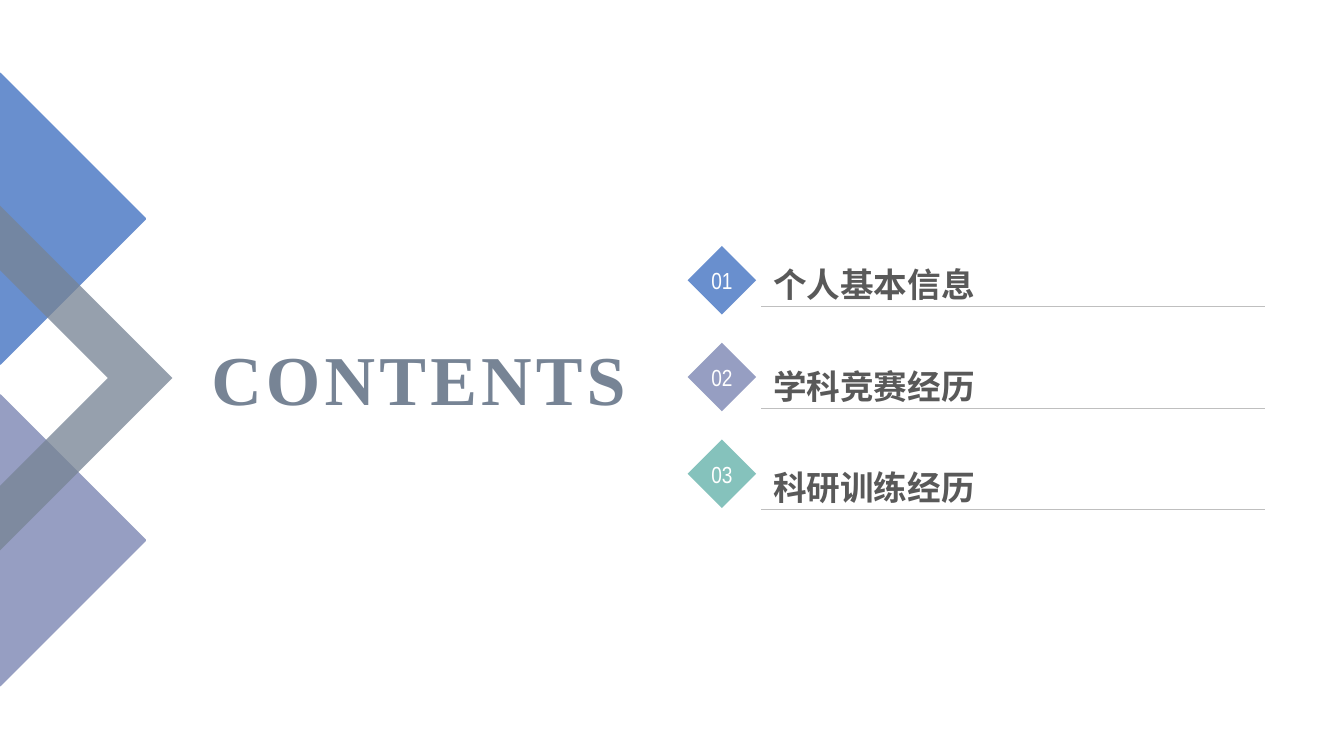
from lxml import etree
from pptx import Presentation
from pptx.dml.color import RGBColor
from pptx.enum.shapes import MSO_CONNECTOR, MSO_SHAPE
from pptx.enum.text import MSO_ANCHOR, PP_ALIGN
from pptx.oxml.ns import qn
from pptx.util import Inches, Pt

DIAMOND = MSO_SHAPE.DIAMOND
STRAIGHT = MSO_CONNECTOR.STRAIGHT
MIDDLE, BOTTOM = MSO_ANCHOR.MIDDLE, MSO_ANCHOR.BOTTOM
LEFT, CENTER, RIGHT = PP_ALIGN.LEFT, PP_ALIGN.CENTER, PP_ALIGN.RIGHT
BLUE, LILAC, TEAL, SLATE = "698FCE", "969EC2", "85C2BC", "778495"


def color(code):
    return RGBColor.from_string(code)


def write(shape, text, size, name, code, align, anchor, bold=False):
    frame = shape.text_frame
    frame.word_wrap = False
    frame.vertical_anchor = anchor
    para = frame.paragraphs[0]
    run = para.add_run()
    run.text = text
    para.alignment = align
    font = para.font
    font.size, font.name, font.bold = Pt(size), name, bold
    font.color.rgb = color(code)
    return run


prs = Presentation()
prs.slide_width, prs.slide_height = Inches(13.33), Inches(7.5)
slide = prs.slides.add_slide(prs.slide_layouts[6])
shapes = slide.shapes

arrow = [(1.71, 3.75), (0, 5.46), (0, 4.82), (1.07, 3.75), (0, 2.68), (0, 2.04)]
bands = [
    (LILAC, [(0, 6.8), (0, 3.92), (1.44, 5.36)]),
    (BLUE, [(0, 0.73), (1.44, 2.17), (0, 3.61)]),
    (SLATE, arrow),
]
for code, spots in bands:
    spots = [(Inches(x), Inches(y)) for x, y in spots]
    path = shapes.build_freeform(*spots[0])
    path.add_line_segments(spots[1:], close=True)
    band = path.convert_to_shape()
    band.shadow.inherit = False
    band.fill.solid()
    band.fill.fore_color.rgb = color(code)
    if code == SLATE:
        band.line.fill.background()
        tint = band.fill._xPr.find(qn("a:solidFill"))[0]
        etree.SubElement(tint, qn("a:alpha")).set("val", "77000")
    else:
        band.line.color.rgb = color(code)
        band.line.width = Pt(1.5)

title = shapes.add_textbox(Inches(1.9), Inches(3.24), Inches(4.41), Inches(1.01))
run = write(title, "CONTENTS", 50, "Times New Roman", SLATE, RIGHT, MIDDLE, True)
run._r.get_or_add_rPr().set("spc", "300")

items = [("个人基本信息", BLUE), ("学科竞赛经历", LILAC), ("科研训练经历", TEAL)]
for i, (text, code) in enumerate(items):
    gem = shapes.add_shape(
        DIAMOND, Inches(6.82), Inches(2.44 + 0.96 * i), Inches(0.68), Inches(0.68)
    )
    gem.shadow.inherit = False
    gem.fill.solid()
    gem.fill.fore_color.rgb = color(code)
    gem.line.fill.background()
    write(gem, f"{i + 1:02}", 16.6, "Arial Narrow", "FFFFFF", CENTER, MIDDLE)

    base = 3.04 + 1.005 * i
    label = shapes.add_textbox(
        Inches(7.57), Inches(base - 0.57), Inches(4.26), Inches(0.6)
    )
    run = write(label, text, 24, "Noto Sans CJK SC", "595959", LEFT, BOTTOM, True)
    east = etree.SubElement(run._r.get_or_add_rPr(), qn("a:ea"))
    east.set("typeface", "Noto Sans CJK SC")

    rule = shapes.add_connector(
        STRAIGHT, Inches(7.55), Inches(base), Inches(12.55), Inches(base)
    )
    rule.line.color.rgb = color("BFBFBF")
    rule.line.width = Pt(0.25)
    etree.SubElement(rule._element.spPr, qn("a:effectLst"))

prs.save("out.pptx")
